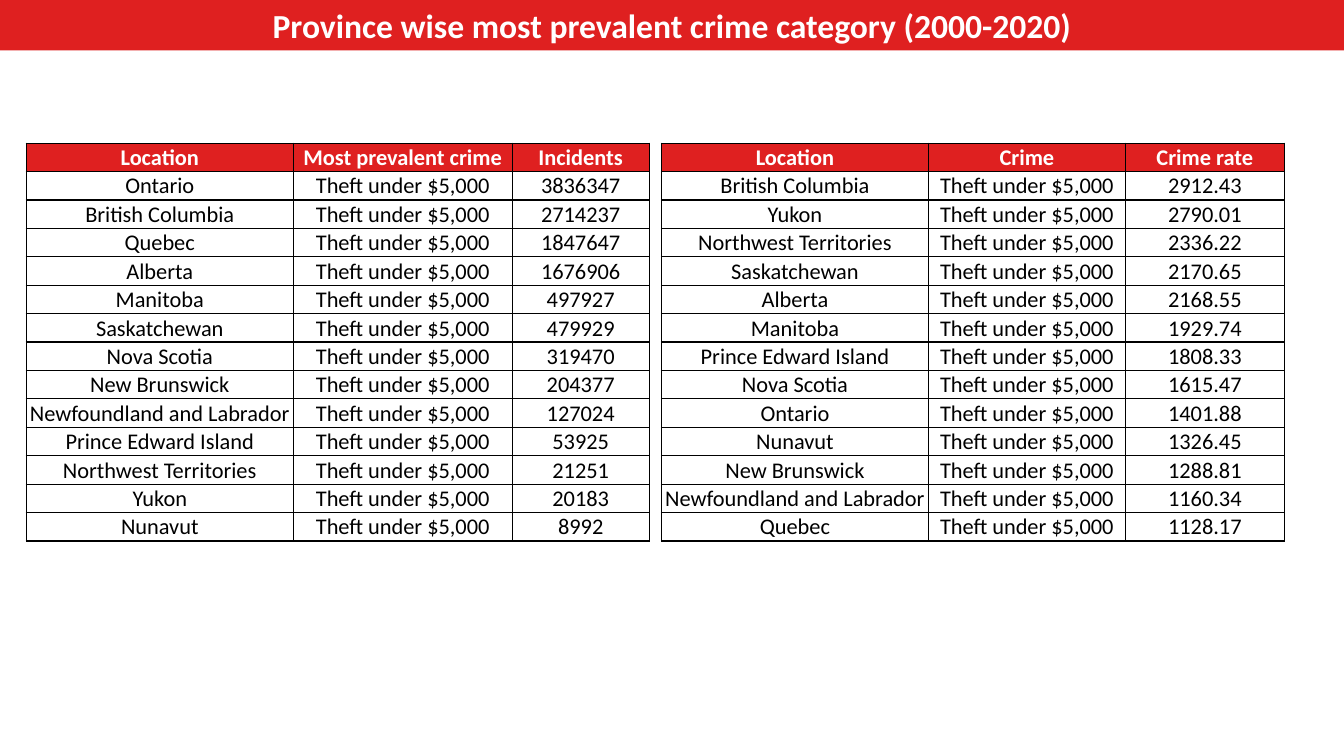
from pptx import Presentation
from pptx.dml.color import RGBColor
from pptx.enum.text import MSO_ANCHOR, MSO_AUTO_SIZE, PP_ALIGN
from pptx.oxml import parse_xml
from pptx.oxml.ns import nsdecls
from pptx.util import Inches, Pt

RED = RGBColor(0xDF, 0x20, 0x20)
WHITE = RGBColor(0xFF, 0xFF, 0xFF)
BLACK = RGBColor(0, 0, 0)
CRIME = "Theft under $5,000"

INCIDENTS = [
    ("Ontario", "3836347"),
    ("British Columbia", "2714237"),
    ("Quebec", "1847647"),
    ("Alberta", "1676906"),
    ("Manitoba", "497927"),
    ("Saskatchewan", "479929"),
    ("Nova Scotia", "319470"),
    ("New Brunswick", "204377"),
    ("Newfoundland and Labrador", "127024"),
    ("Prince Edward Island", "53925"),
    ("Northwest Territories", "21251"),
    ("Yukon", "20183"),
    ("Nunavut", "8992"),
]
RATES = [
    ("British Columbia", "2912.43"),
    ("Yukon", "2790.01"),
    ("Northwest Territories", "2336.22"),
    ("Saskatchewan", "2170.65"),
    ("Alberta", "2168.55"),
    ("Manitoba", "1929.74"),
    ("Prince Edward Island", "1808.33"),
    ("Nova Scotia", "1615.47"),
    ("Ontario", "1401.88"),
    ("Nunavut", "1326.45"),
    ("New Brunswick", "1288.81"),
    ("Newfoundland and Labrador", "1160.34"),
    ("Quebec", "1128.17"),
]
TABLES = [
    (0.26, (2.65, 2.17, 1.36), ("Location", "Most prevalent crime", "Incidents"), INCIDENTS),
    (6.56, (2.65, 1.95, 1.58), ("Location", "Crime", "Crime rate"), RATES),
]


def add_text(tf, text, size, color, bold):
    p = tf.paragraphs[0]
    p.alignment = PP_ALIGN.CENTER
    r = p.add_run()
    r.text = text
    r.font.name = "Calibri"
    r.font.size = Pt(size)
    r.font.bold = bold
    r.font.color.rgb = color


def add_borders(cell):
    tcPr = cell._tc.get_or_add_tcPr()
    for side in ("lnL", "lnR", "lnT", "lnB"):
        tcPr.append(parse_xml(
            f'<a:{side} {nsdecls("a")} w="{Pt(1)}"><a:solidFill>'
            f'<a:srgbClr val="{BLACK}"/></a:solidFill></a:{side}>'))


prs = Presentation()
prs.slide_width = Inches(13.33)
prs.slide_height = Inches(7.5)
s = prs.slides.add_slide(prs.slide_layouts[5])

title = s.shapes.title
title.left, title.top = Inches(0), Inches(0)
title.width, title.height = prs.slide_width, Inches(0.5)
title.fill.solid()
title.fill.fore_color.rgb = RED
tf = title.text_frame
tf.word_wrap = True
tf.auto_size = MSO_AUTO_SIZE.NONE
tf.vertical_anchor = MSO_ANCHOR.MIDDLE
add_text(tf, "Province wise most prevalent crime category (2000-2020)", 24, WHITE, True)

for left, widths, header, data in TABLES:
    rows = [header] + [(place, CRIME, value) for place, value in data]
    table = s.shapes.add_table(len(rows), len(header), Inches(left), Inches(1.42),
                               Inches(sum(widths)), Inches(3.88)).table
    table.horz_banding = False
    for col, width in zip(table.columns, widths):
        col.width = Inches(width)
    for i, row in enumerate(rows):
        for j, text in enumerate(row):
            cell = table.cell(i, j)
            cell.margin_left = cell.margin_right = cell.margin_top = Inches(0.01)
            cell.margin_bottom = 0
            cell.vertical_anchor = MSO_ANCHOR.BOTTOM
            add_borders(cell)
            if i == 0:
                cell.fill.solid()
                cell.fill.fore_color.rgb = RED
            else:
                cell.fill.background()
            add_text(cell.text_frame, text, 16, BLACK if i else WHITE, i == 0)

prs.save("out.pptx")
